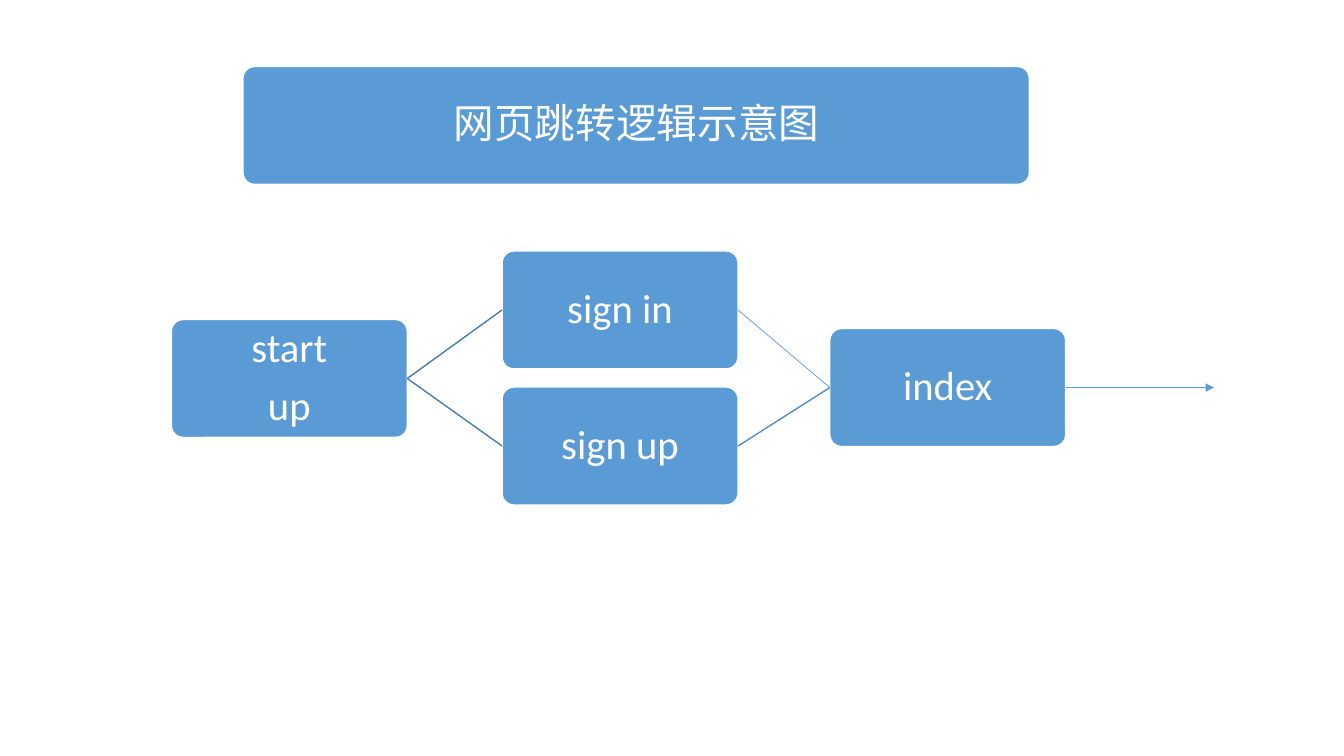
import pptx
import pptx.util
import pptx.dml.color
import pptx.enum.shapes
import pptx.enum.text
import lxml.etree
from pptx.util import Inches
from pptx.oxml.ns import qn


def color(value):
    return pptx.dml.color.RGBColor.from_string(value)


def format_text(shape, text, font_name):
    frame = shape.text_frame
    frame.text = text
    frame.word_wrap = True
    frame.auto_size = pptx.enum.text.MSO_AUTO_SIZE.NONE
    frame.vertical_anchor = pptx.enum.text.MSO_ANCHOR.MIDDLE
    frame.margin_left = frame.margin_right = Inches(0.02)
    frame.margin_top = frame.margin_bottom = Inches(0.02)
    for paragraph in frame.paragraphs:
        paragraph.alignment = pptx.enum.text.PP_ALIGN.CENTER
        paragraph.line_spacing = 0.9
        paragraph.space_before = pptx.util.Pt(0)
        paragraph.space_after = pptx.util.Pt(10.15)
        paragraph.font.size = pptx.util.Pt(29)
        paragraph.font.name = font_name
        paragraph.font.color.rgb = color("FFFFFF")
        properties = paragraph._p.get_or_add_pPr().get_or_add_defRPr()
        lxml.etree.SubElement(properties, qn("a:ea"), typeface=font_name)


presentation = pptx.Presentation()
presentation.slide_width = Inches(13.33)
presentation.slide_height = Inches(7.5)
slide = presentation.slides.add_slide(presentation.slide_layouts[5])

box_height = 1.17
boxes = {}
for name, left, top, width, text in [
    ("title", 2.41, 0.66, 7.8, ""),
    ("start up", 1.7, 3.17, 2.34, "start\nup"),
    ("sign in", 4.98, 2.49, 2.34, "sign in"),
    ("sign up", 4.98, 3.84, 2.34, "sign up"),
    ("index", 8.23, 3.26, 2.34, "index"),
]:
    box = slide.shapes.add_shape(
        pptx.enum.shapes.MSO_SHAPE.ROUNDED_RECTANGLE,
        Inches(left), Inches(top), Inches(width), Inches(box_height))
    box.adjustments[0] = 0.1
    box.shadow.inherit = False
    box.fill.solid()
    box.fill.fore_color.rgb = color("5B9BD5")
    box.line.color.rgb = color("FFFFFF")
    box.line.width = pptx.util.Pt(1)
    if text:
        format_text(box, text, "Calibri")
    boxes[name] = box

title = slide.shapes.title
title.left, title.top = Inches(2.53), Inches(0.69)
title.width, title.height = Inches(7.57), Inches(1.1)
format_text(title, "网页跳转逻辑示意图", "Noto Sans CJK SC")
slide.shapes.element.append(title.element)

for source, target, line_color, line_width in [
    ("start up", "sign in", "497CAB", 1),
    ("start up", "sign up", "497CAB", 1),
    ("sign up", "index", "538DC1", 1),
    ("sign in", "index", "5B9BD5", 0.5),
    ("index", None, "5B9BD5", 0.5),
]:
    exit_height = boxes["index"].top + boxes["index"].height // 2
    connector = slide.shapes.add_connector(
        pptx.enum.shapes.MSO_CONNECTOR.STRAIGHT,
        Inches(10.57), exit_height, Inches(12.04), exit_height)
    connector.begin_connect(boxes[source], 3)
    if target:
        connector.end_connect(boxes[target], 1)
    connector.line.color.rgb = color(line_color)
    connector.line.width = pptx.util.Pt(line_width)
    if not target:
        lxml.etree.SubElement(connector.line._get_or_add_ln(), qn("a:tailEnd"), type="triangle")
    lxml.etree.SubElement(connector.element.spPr, qn("a:effectLst"))

presentation.save("out.pptx")
